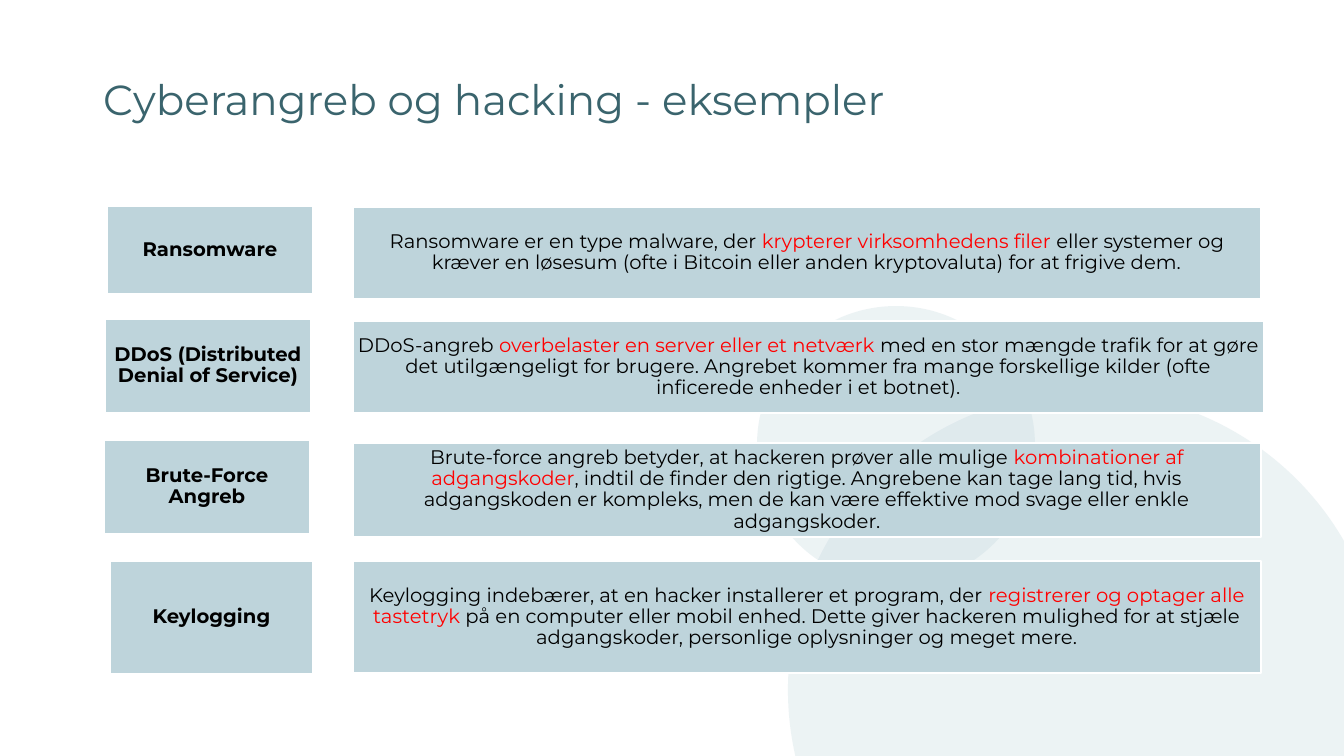
from lxml import etree
from pptx import Presentation
from pptx.dml.color import RGBColor
from pptx.enum.shapes import MSO_SHAPE
from pptx.enum.text import MSO_ANCHOR, MSO_AUTO_SIZE, PP_ALIGN
from pptx.oxml.ns import qn
from pptx.util import Pt

EMU_PER_PX = 12192000 / 1344
SLIDE_SIZE = (1344, 756)
TITLE_ONLY_LAYOUT = 5

RECTANGLE, OVAL = MSO_SHAPE.RECTANGLE, MSO_SHAPE.OVAL
TOP, MIDDLE = MSO_ANCHOR.TOP, MSO_ANCHOR.MIDDLE
LEFT, CENTER = PP_ALIGN.LEFT, PP_ALIGN.CENTER
NO_AUTOFIT = MSO_AUTO_SIZE.NONE

PALE_BLUE = RGBColor(0xBE, 0xD4, 0xDB)
TEAL = RGBColor(0x3A, 0x64, 0x6D)
WHITE = RGBColor(0xFF, 0xFF, 0xFF)
BLACK = RGBColor(0x00, 0x00, 0x00)
RED = RGBColor(0xFF, 0x00, 0x00)

TITLE_FONT = {"name": "Montserrat", "size": Pt(30), "bold": False}
TERM_FONT = {"name": "Montserrat", "size": Pt(14), "bold": True}
BODY_FONT = {"name": "Montserrat", "size": Pt(14), "bold": False}

TITLE_BOX = (93, 74, 1159, 102)
CIRCLES = [(788, 392, 596), (757, 306, 278)]
CIRCLE_OPACITY = 28

ATTACKS = [
    ("Ransomware", (107, 206, 206, 88), (353, 207, 908, 92), [
        ("Ransomware er en type malware, der ", BLACK),
        ("krypterer virksomhedens filer ", RED),
        ("eller systemer og kræver en løsesum (ofte i Bitcoin eller anden "
         "kryptovaluta) for at frigive dem.", BLACK),
    ]),
    ("DDoS (Distributed Denial of Service)", (105, 319, 206, 94), (353, 321, 911, 92), [
        ("DDoS-angreb ", BLACK),
        ("overbelaster en server eller et netværk ", RED),
        ("med en stor mængde trafik for at gøre det utilgængeligt for brugere. "
         "Angrebet kommer fra mange forskellige kilder (ofte inficerede enheder "
         "i et botnet).", BLACK),
    ]),
    ("Brute-Force Angreb", (104, 440, 206, 94), (353, 443, 908, 94), [
        ("Brute-force angreb betyder, at hackeren prøver alle mulige ", BLACK),
        ("kombinationer af adgangskoder", RED),
        (", indtil de finder den rigtige. Angrebene kan tage lang tid, hvis "
         "adgangskoden er kompleks, men de kan være effektive mod svage eller "
         "enkle adgangskoder.", BLACK),
    ]),
    ("Keylogging", (110, 561, 203, 113), (353, 561, 908, 112), [
        ("Keylogging indebærer, at en hacker installerer et program, der ", BLACK),
        ("registrerer og optager alle tastetryk ", RED),
        ("på en computer eller mobil enhed. Dette giver hackeren mulighed for at "
         "stjæle adgangskoder, personlige oplysninger og meget mere.", BLACK),
    ]),
]


def px(length):
    """Turn a length in px into EMU."""
    return round(length * EMU_PER_PX)


def set_attributes(target, values):
    """Set each named value on the target object."""
    for name, value in values.items():
        setattr(target, name, value)


def write_text(text_frame, runs, font, alignment):
    """Write one paragraph of coloured runs in a text frame."""
    paragraph = text_frame.paragraphs[0]
    set_attributes(paragraph, {"alignment": alignment, "line_spacing": 0.9})
    for text, color in runs:
        run = paragraph.add_run()
        run.text = text
        set_attributes(run.font, font)
        run.font.color.rgb = color


def add_filled_shape(slide, kind, box):
    """Add a pale blue preset shape without a shadow."""
    shape = slide.shapes.add_shape(kind, *map(px, box))
    shape.shadow.inherit = False
    shape.fill.solid()
    shape.fill.fore_color.rgb = PALE_BLUE
    return shape


def add_circle(slide, left, top, diameter):
    """Add a translucent background circle."""
    circle = add_filled_shape(slide, OVAL, (left, top, diameter, diameter))
    circle.line.fill.background()
    color = circle.fill._xPr.find(qn("a:solidFill"))[0]
    etree.SubElement(color, qn("a:alpha"), val=str(CIRCLE_OPACITY * 1000))


def add_text_block(slide, box, runs, font):
    """Add a white-edged rectangle with centred text."""
    block = add_filled_shape(slide, RECTANGLE, box)
    block.line.color.rgb = WHITE
    block.line.width = Pt(1.5)
    margins = dict.fromkeys(
        ("margin_left", "margin_top", "margin_right", "margin_bottom"), px(3))
    set_attributes(block.text_frame, {
        "word_wrap": True, "vertical_anchor": MIDDLE, **margins})
    write_text(block.text_frame, runs, font, CENTER)


def set_title(slide, text):
    """Place and format the slide title."""
    title = slide.shapes.title
    title.left, title.top, title.width, title.height = map(px, TITLE_BOX)
    set_attributes(title.text_frame, {
        "word_wrap": True, "auto_size": NO_AUTOFIT, "vertical_anchor": TOP})
    write_text(title.text_frame, [(text, TEAL)], TITLE_FONT, LEFT)


def main():
    """Build the slide and save it."""
    presentation = Presentation()
    presentation.slide_width, presentation.slide_height = map(px, SLIDE_SIZE)
    layout = presentation.slide_layouts[TITLE_ONLY_LAYOUT]
    slide = presentation.slides.add_slide(layout)
    for circle in CIRCLES:
        add_circle(slide, *circle)
    set_title(slide, "Cyberangreb og hacking - eksempler")
    for term, term_box, description_box, description in ATTACKS:
        add_text_block(slide, term_box, [(term, BLACK)], TERM_FONT)
        add_text_block(slide, description_box, description, BODY_FONT)
    presentation.save("out.pptx")


if __name__ == "__main__":
    main()
